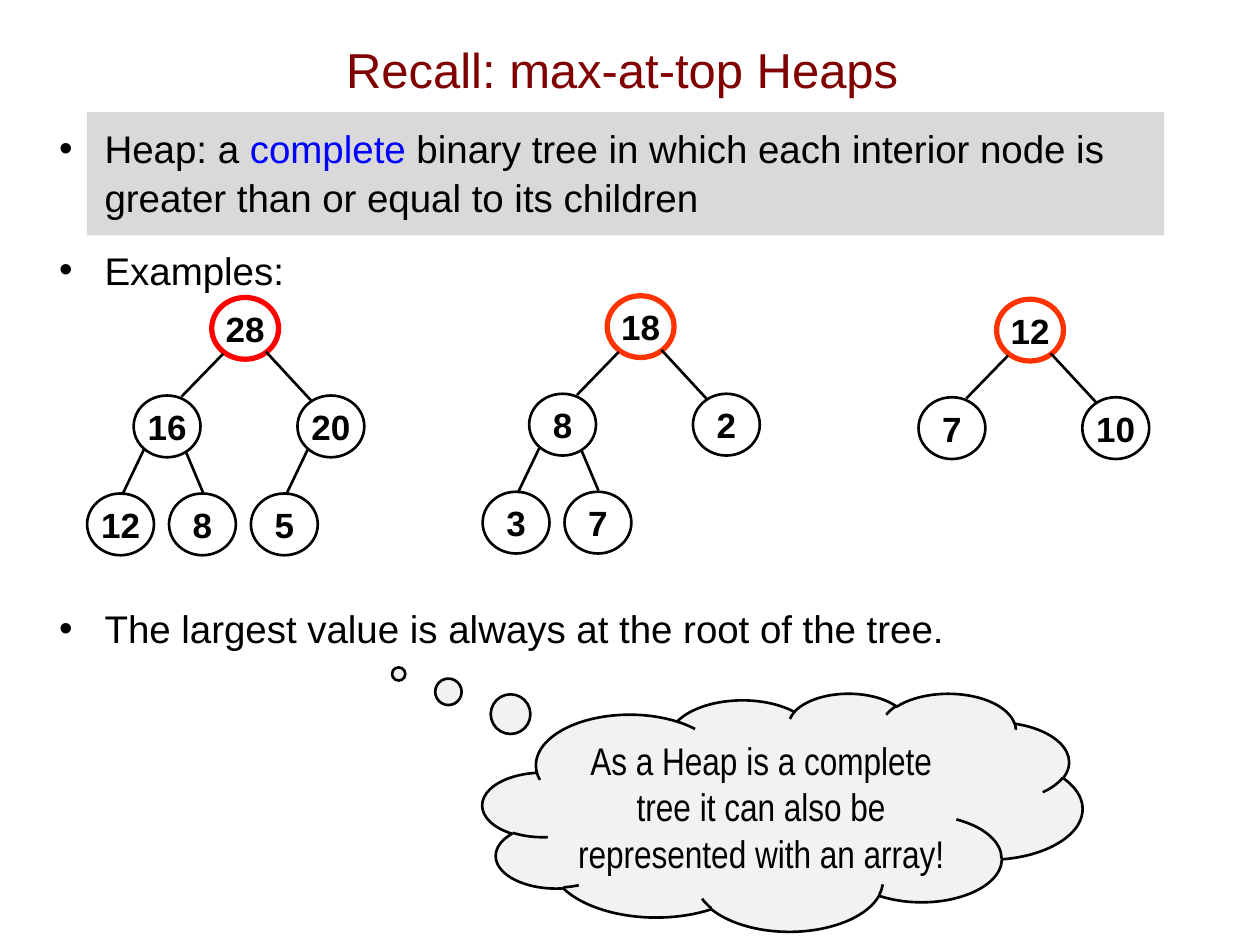
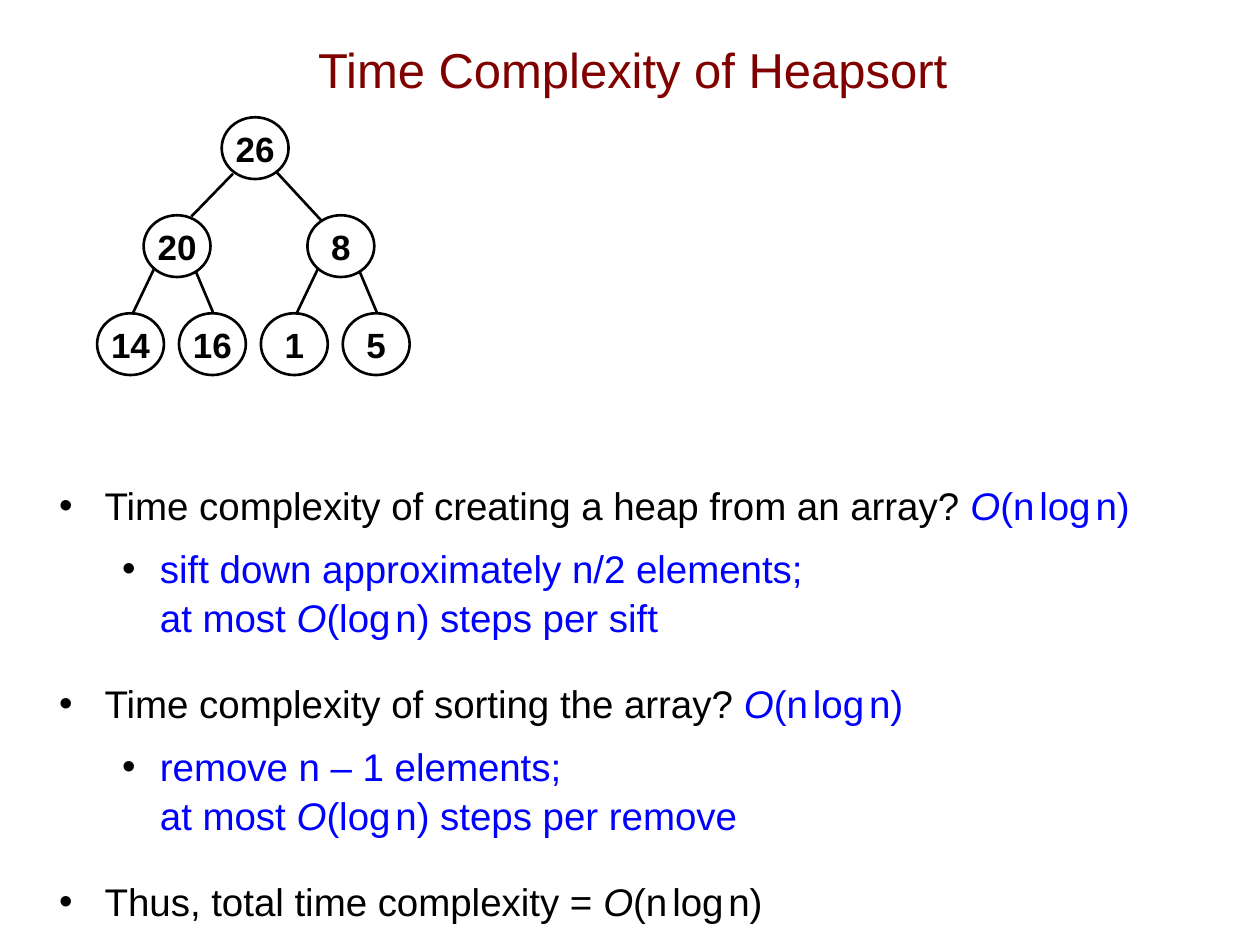
from lxml.etree import SubElement
from pptx import Presentation
from pptx.dml.color import RGBColor
from pptx.enum.shapes import MSO_CONNECTOR as LINE, MSO_SHAPE as SHAPE
from pptx.enum.text import MSO_ANCHOR as ANCHOR, MSO_AUTO_SIZE as FIT, PP_ALIGN as ALIGN
from pptx.oxml.ns import qn
from pptx.util import Pt

BLACK, BLUE, MAROON = "000000", "0000FF", "800000"
RED, ORANGE = "FF0000", "FF3300"
GREY, PALE = "D9D9D9", "F2F2F2"

NODE_W, NODE_H, DROP = 38.2, 35.3, 56
# For each parent level: child shift, edge start and edge end, left then right,
# all measured from the top left corner of the parent.
BRANCH = [
    [(-44.6, (6.5, 32.2), (-17.3, 56.7)), (49, (31, 31), (56.9, 59))],
    [(-26.6, (5.8, 31), (-6.5, 56.7)), (20.2, (29.9, 32.4), (39.6, 55.4))],
]


def rgb(code):
    return RGBColor.from_string(code)


def place(shape, left, top, width, height):
    shape.left, shape.top = Pt(left), Pt(top)
    shape.width, shape.height = Pt(width), Pt(height)


def write(para, text, size=22, font="Arial", color=BLACK, bold=False, italic=False):
    run = para.add_run()
    run.text = text
    face = run.font
    face.size, face.name = Pt(size), font
    face.bold, face.italic = bold, italic
    face.color.rgb = rgb(color)


def order(para, *terms, color=BLUE):
    """Write O(...) with narrow gaps between the terms."""
    write(para, "O", color=color, italic=True)
    write(para, "(", color=color)
    for spot, term in enumerate(terms):
        if spot:
            write(para, " ", size=10, color=color)
        write(para, term, color=color)
    write(para, ")", color=color)


def bullet(frame, level=0, gap=0):
    """Return a new bulleted paragraph, using the empty first one if it is free."""
    first = frame.paragraphs[0]
    para = frame.add_paragraph() if first.runs else first
    left, hang = [(26, 26), (57.6, 21.6)][level]
    para.level = level
    props = para._p.get_or_add_pPr()
    props.set("marL", str(Pt(left)))
    props.set("indent", str(-Pt(hang)))
    tint = SubElement(props, qn("a:buClr"))
    SubElement(tint, qn("a:srgbClr")).set("val", BLACK)
    SubElement(props, qn("a:buFont")).set("typeface", "Arial")
    SubElement(props, qn("a:buChar")).set("char", "•")
    para.line_spacing = 1.05
    para.space_before = Pt(gap)
    para.alignment = ALIGN.LEFT
    return para


def start(deck, title, title_box, body_box):
    """Add a slide with its title and return it with the body frame."""
    slide = deck.slides.add_slide(deck.slide_layouts[1])
    head, body = slide.placeholders
    place(head, *title_box)
    place(body, *body_box)
    for holder, anchor in ((head, ANCHOR.MIDDLE), (body, ANCHOR.TOP)):
        frame = holder.text_frame
        frame.auto_size = FIT.NONE
        frame.word_wrap = True
        frame.vertical_anchor = anchor
    para = head.text_frame.paragraphs[0]
    para.alignment = ALIGN.CENTER
    write(para, title, size=28, color=MAROON)
    return slide, body.text_frame


def draw(slide, kind, box, fill=None, line=None, weight=1.5):
    shape = slide.shapes.add_shape(kind, *map(Pt, box))
    shape.shadow.inherit = False
    if fill:
        shape.fill.solid()
        shape.fill.fore_color.rgb = rgb(fill)
    else:
        shape.fill.background()
    if line:
        shape.line.color.rgb = rgb(line)
        shape.line.width = Pt(weight)
    else:
        shape.line.fill.background()
    return shape


def node(slide, left, top, value, color=BLACK, weight=1.5):
    oval = draw(slide, SHAPE.OVAL, (left, top, NODE_W, NODE_H), line=color, weight=weight)
    frame = oval.text_frame
    frame.margin_left = frame.margin_right = frame.margin_top = frame.margin_bottom = 0
    frame.vertical_anchor = ANCHOR.MIDDLE
    frame.word_wrap = False
    para = frame.paragraphs[0]
    para.alignment = ALIGN.CENTER
    write(para, str(value), size=20, bold=True)


def edge(slide, x1, y1, x2, y2):
    link = slide.shapes.add_connector(LINE.STRAIGHT, Pt(x1), Pt(y1), Pt(x2), Pt(y2))
    link.line.color.rgb = rgb(BLACK)
    link.line.width = Pt(1.5)
    SubElement(link._element.spPr, qn("a:effectLst"))


def tree(slide, left, top, values, color=BLACK, weight=1.5):
    """Draw a heap held as an array; the children of i are 2i + 1 and 2i + 2."""
    spots = [(left, top)]
    node(slide, left, top, values[0], color, weight)
    for i in range(1, len(values)):
        parent = (i - 1) // 2
        px, py = spots[parent]
        shift, (x1, y1), (x2, y2) = BRANCH[min(parent, 1)][(i - 1) % 2]
        spots.append((px + shift, py + DROP))
        node(slide, *spots[i], values[i])
        edge(slide, px + x1, py + y1, px + x2, py + y2)


def recall(deck):
    slide, body = start(deck, "Recall: max-at-top Heaps",
                        (46, 6, 619, 67), (26.6, 66.6, 660, 442))
    band = draw(slide, SHAPE.RECTANGLE, (49.7, 64, 615.6, 70.5), fill=GREY)
    slide.shapes._spTree.insert(2, band._element)

    para = bullet(body)
    write(para, "Heap: a ")
    write(para, "complete", color=BLUE)
    write(para, " binary tree in which each interior node is "
                "greater than or equal to its children")
    write(bullet(body, gap=14), "Examples:")
    write(bullet(body, gap=177), "The largest value is always at the root of the tree.")

    tree(slide, 121, 170, [28, 16, 20, 12, 8, 5], RED, 3)
    tree(slide, 347, 169, [18, 8, 2, 3, 7], ORANGE, 3)
    tree(slide, 569.5, 171, [12, 7, 10], ORANGE, 3)

    cloud = draw(slide, SHAPE.CLOUD_CALLOUT, (275.8, 396, 342.7, 136), PALE, BLACK)
    cloud.adjustments[0], cloud.adjustments[1] = -0.64, -0.58
    cloud.text_frame.word_wrap = True
    para = cloud.text_frame.paragraphs[0]
    para.alignment = ALIGN.CENTER
    write(para, "As a Heap is a complete tree it can also be represented with an array!",
          font="Arial Narrow")


def cost(deck):
    slide, body = start(deck, "Time Complexity of Heapsort",
                        (31, 6, 661, 67), (26.6, 270.5, 693, 262))
    tree(slide, 126.7, 67, [26, 20, 8, 14, 16, 1, 5])

    steps = [
        ("creating a heap from an array", "sift down approximately n/2 elements;", "sift"),
        ("sorting the array", "remove n – 1 elements;", "remove"),
    ]
    for i, (task, work, step) in enumerate(steps):
        para = bullet(body, gap=21.5 if i else 0)
        write(para, f"Time complexity of {task}? ")
        order(para, "n", "log", "n")
        para = bullet(body, level=1, gap=8.6)
        write(para, work, color=BLUE)
        para.add_line_break()
        write(para, "at most ", color=BLUE)
        order(para, "log", "n")
        write(para, f" steps per {step}", color=BLUE)
    para = bullet(body, gap=21.5)
    write(para, "Thus, total time complexity = ")
    order(para, "n", "log", "n", color=BLACK)


def main():
    deck = Presentation()
    deck.slide_width, deck.slide_height = Pt(720), Pt(540)
    recall(deck)
    cost(deck)
    deck.save("out.pptx")


if __name__ == "__main__":
    main()
